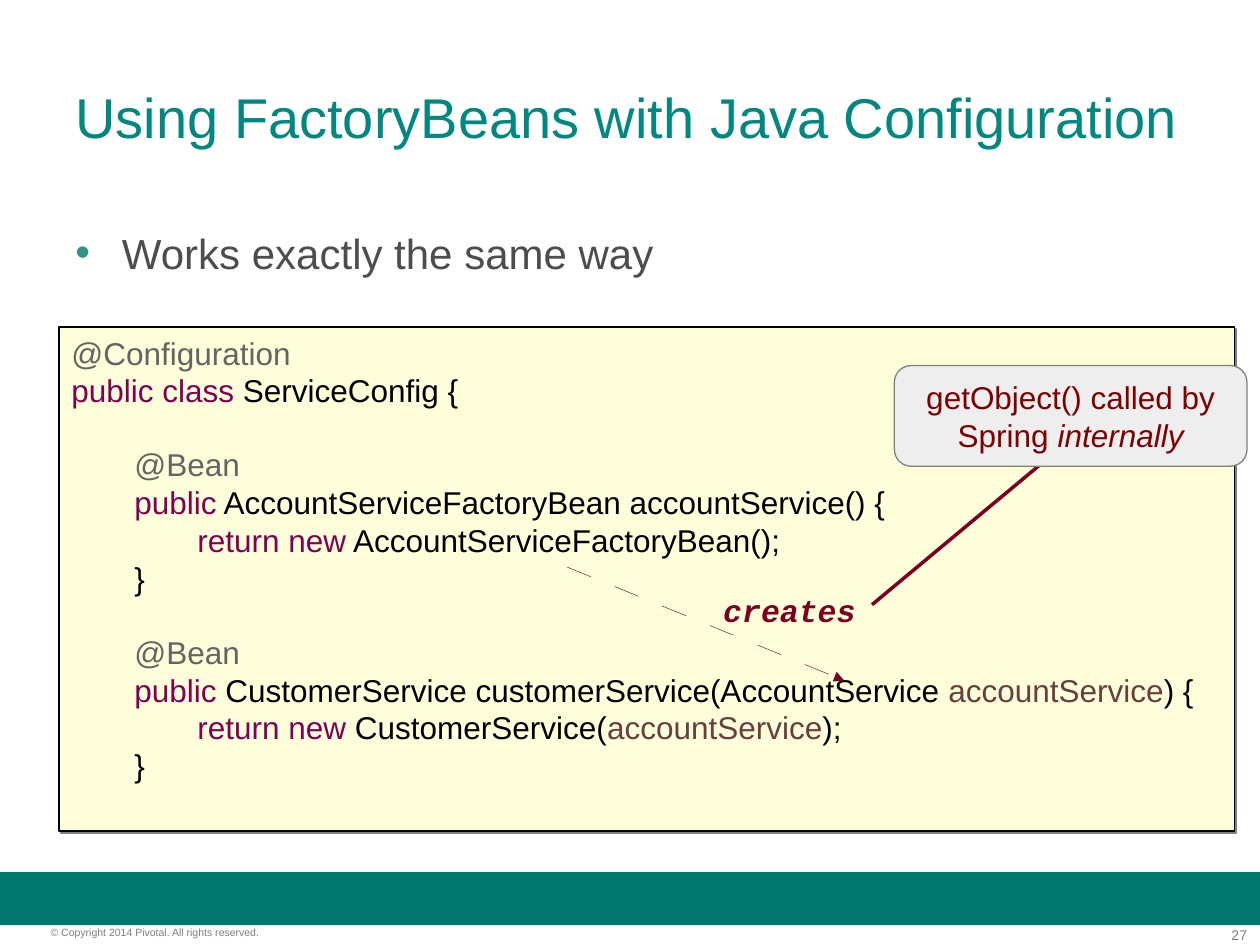
from lxml import etree
from pptx import Presentation
from pptx import util as u
from pptx.dml import color as dml
from pptx.enum import shapes, text
from pptx.oxml import ns

TEAL, BLACK, GREY, MAROON = "00786E", "000000", "7F7F7F", "7E0021"
ANNOTATION, KEYWORD, VARIABLE = "646464", "7F0055", "6A3E3E"
CODE = [
    (0, [("@Configuration", ANNOTATION)]),
    (0, [("public class", KEYWORD), (" ServiceConfig {", BLACK)]),
    (20.7, [("\t", BLACK), ("@Bean", ANNOTATION)]),
    (0, [("\t", BLACK), ("public", KEYWORD),
         (" AccountServiceFactoryBean accountService() {", BLACK)]),
    (0, [("\t\t", BLACK), ("return new", KEYWORD),
         (" AccountServiceFactoryBean();", BLACK)]),
    (0, [("\t}", BLACK)]),
    (20.7, [("\t", BLACK), ("@Bean", ANNOTATION)]),
    (0, [("\t", BLACK), ("public", KEYWORD),
         (" CustomerService customerService(AccountService ", BLACK),
         ("accountService", VARIABLE), (") {", BLACK)]),
    (0, [("\t\t", BLACK), ("return new", KEYWORD), (" CustomerService(", BLACK),
         ("accountService", VARIABLE), (");", BLACK)]),
    (0, [("\t}", BLACK)]),
]


def rgb(value):
    """Return the colour for a hex string."""
    return dml.RGBColor.from_string(value)


def add_xml(parent, tag, **attributes):
    """Append a DrawingML element and return it."""
    return etree.SubElement(parent, ns.qn("a:" + tag), attributes)


def style(paragraph, size, color=None, name="Arial"):
    """Set the font shared by a whole paragraph."""
    font = paragraph.font
    font.name, font.size = name, u.Pt(size)
    if color:
        font.color.rgb = rgb(color)


def add_text(slide, box, words, size, color, name="Arial", margins=(0.25, 0.13), wrap=True):
    """Add a one-paragraph text box and return its shape."""
    shape = slide.shapes.add_textbox(*map(u.Cm, box))
    frame = shape.text_frame
    frame.word_wrap = wrap
    frame.margin_left = frame.margin_right = u.Cm(margins[0])
    frame.margin_top = frame.margin_bottom = u.Cm(margins[1])
    paragraph = frame.paragraphs[0]
    paragraph.text = words
    style(paragraph, size, color, name)
    return shape


def add_block(slide, kind, box, fill, line=None, width=0):
    """Add a filled preset shape without a theme shadow."""
    shape = slide.shapes.add_shape(kind, *map(u.Cm, box))
    shape.shadow.inherit = False
    shape.fill.solid()
    shape.fill.fore_color.rgb = rgb(fill)
    if line:
        shape.line.color.rgb = rgb(line)
        shape.line.width = u.Pt(width)
    else:
        shape.line.fill.background()
    shape.text_frame.word_wrap = True
    return shape


def add_bullet(slide, box, words):
    """Add a bulleted line of body text."""
    paragraph = add_text(slide, box, "", 24, "4D4D4D").text_frame.paragraphs[0]
    paragraph.text = words
    properties = paragraph._p.get_or_add_pPr()
    properties.remove(properties.find(ns.qn("a:defRPr")))
    properties.set("marL", str(u.Cm(0.94)))
    properties.set("indent", str(u.Cm(-0.94)))
    add_xml(add_xml(properties, "buClr"), "srgbClr", val="33928A")
    add_xml(properties, "buFont", typeface="Arial")
    add_xml(properties, "buChar", char="•")
    style(paragraph, 24, "4D4D4D")
    paragraph.space_before = u.Pt(0)


def add_code(slide, box):
    """Add the code listing with its offset shadow."""
    shape = add_block(slide, shapes.MSO_SHAPE.RECTANGLE, box, "FEFFDA", BLACK, 1)
    effects = shape._element.spPr.find(ns.qn("a:effectLst"))
    shadow = add_xml(effects, "outerShdw", dist=str(u.Pt(1.4)), dir="2700000",
                     algn="tl", rotWithShape="0")
    add_xml(shadow, "srgbClr", val="808080")
    frame = shape.text_frame
    frame.vertical_anchor = text.MSO_ANCHOR.TOP
    for index, (gap, runs) in enumerate(CODE):
        paragraph = frame.add_paragraph() if index else frame.paragraphs[0]
        paragraph.alignment = text.PP_ALIGN.LEFT
        stops = add_xml(paragraph._p.get_or_add_pPr(), "tabLst")
        for stop in (1, 2):
            add_xml(stops, "tab", pos=str(u.Cm(1.27 * stop)), algn="l")
        style(paragraph, 18)
        if gap:
            paragraph.space_before = u.Pt(gap)
        for words, color in runs:
            run = paragraph.add_run()
            run.text = words
            run.font.color.rgb = rgb(color)


def add_line(slide, ends, width=0, arrow=False):
    """Add a thin line, dashed with an arrowhead on request."""
    line = slide.shapes.add_connector(shapes.MSO_CONNECTOR.STRAIGHT, *map(u.Cm, ends))
    line.line.color.rgb = rgb(MAROON)
    line.line.width = u.Pt(width)
    add_xml(line._element.spPr, "effectLst")
    if arrow:
        outline = line.line._get_or_add_ln()
        add_xml(add_xml(outline, "custDash"), "ds", d="5760000", sp="5760000")
        add_xml(outline, "tailEnd", type="triangle")


def add_callout(slide, box):
    """Add the rounded note about getObject()."""
    shape = add_block(slide, shapes.MSO_SHAPE.ROUNDED_RECTANGLE, box, "EEEEEE", "808080")
    shape.text_frame.vertical_anchor = text.MSO_ANCHOR.MIDDLE
    paragraph = shape.text_frame.paragraphs[0]
    paragraph.alignment = text.PP_ALIGN.CENTER
    style(paragraph, 18, "800000")
    paragraph.add_run().text = "getObject() called by Spring "
    emphasis = paragraph.add_run()
    emphasis.text = "internally"
    emphasis.font.italic = True


def main():
    """Build and save the slide."""
    presentation = Presentation()
    presentation.slide_width, presentation.slide_height = u.Cm(25.4), u.Cm(19.05)
    slide = presentation.slides.add_slide(presentation.slide_layouts[6])
    add_block(slide, shapes.MSO_SHAPE.RECTANGLE, (0, 17.58, 25.4, 1.07), TEAL)
    number = add_text(slide, (23.67, 18.67, 1.47, 0.33), "27", 8, GREY, margins=(0, 0))
    number.text_frame.paragraphs[0].alignment = text.PP_ALIGN.RIGHT
    add_text(slide, (1.02, 18.67, 6.32, 0.25),
             "© Copyright 2014 Pivotal. All rights reserved.", 6, GREY, margins=(0, 0))
    title = add_text(slide, (1.27, 0.76, 22.86, 3.18),
                     "Using FactoryBeans with Java Configuration", 32, "008881")
    title.text_frame.vertical_anchor = text.MSO_ANCHOR.MIDDLE
    add_bullet(slide, (1.27, 4.45, 22.86, 12.57), "Works exactly the same way")
    add_code(slide, (1.19, 6.6, 23.7, 10.16))
    add_line(slide, (21.84, 8.64, 17.58, 12.19))
    add_line(slide, (11.43, 11.43, 17.02, 13.72), width=0.25, arrow=True)
    label = add_text(slide, (14.33, 11.79, 3.18, 1.02), "creates", 18, MAROON,
                     "Courier New", wrap=False)
    font = label.text_frame.paragraphs[0].font
    font.bold = font.italic = True
    add_callout(slide, (18.03, 7.37, 7.11, 2.03))
    presentation.save("out.pptx")


if __name__ == "__main__":
    main()
